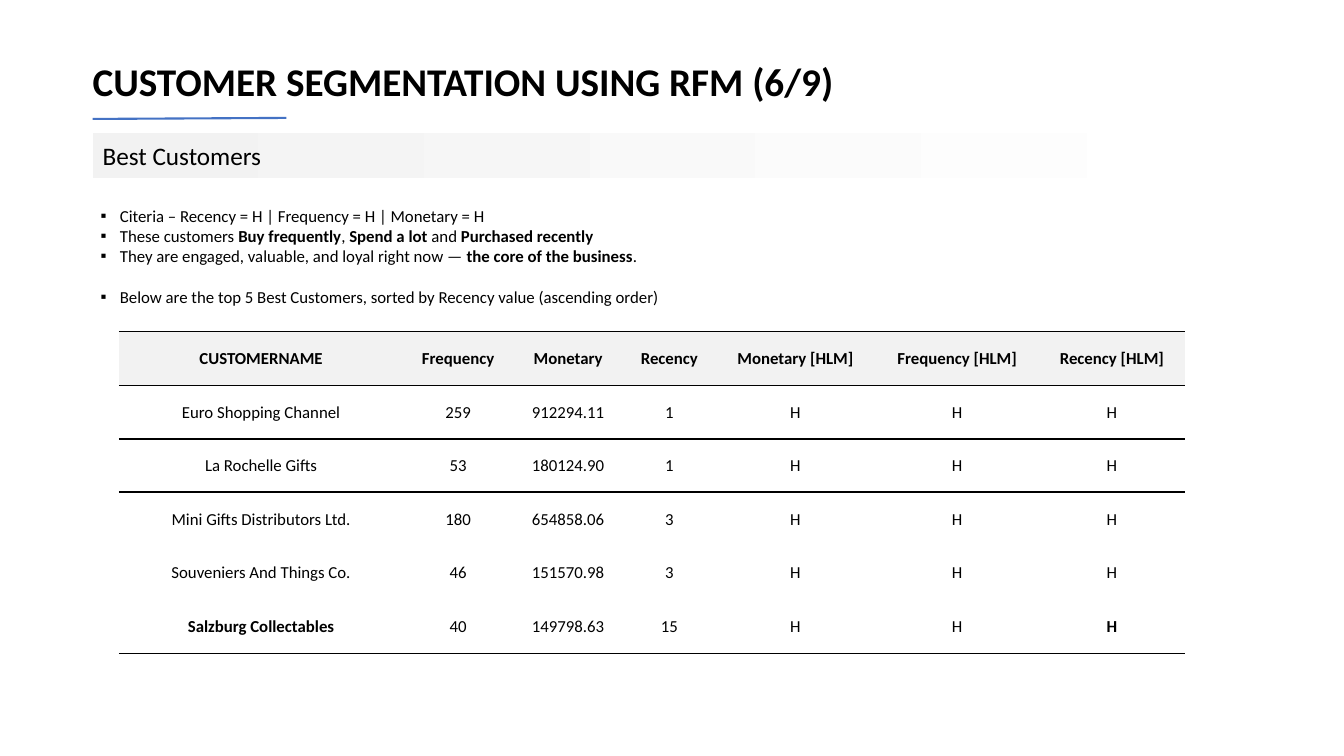
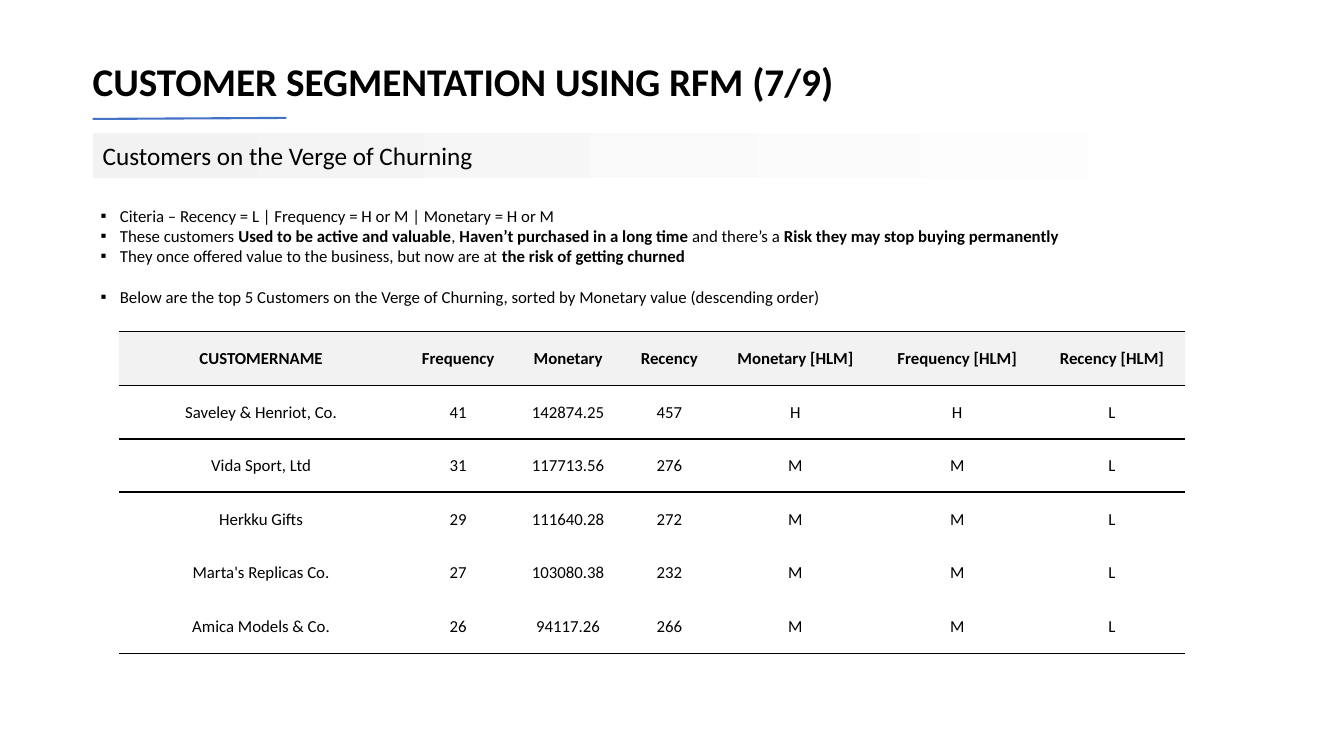
from lxml import etree
from pptx import Presentation
from pptx.dml.color import RGBColor
from pptx.enum.shapes import MSO_CONNECTOR, MSO_SHAPE
from pptx.enum.text import MSO_ANCHOR, PP_ALIGN
from pptx.oxml import parse_xml
from pptx.oxml.ns import nsdecls, qn
from pptx.util import Inches, Pt

STRAIGHT = MSO_CONNECTOR.STRAIGHT
RECTANGLE = MSO_SHAPE.RECTANGLE
MIDDLE = MSO_ANCHOR.MIDDLE
LEFT, CENTER = PP_ALIGN.LEFT, PP_ALIGN.CENTER

FONT = "Calibri"
COLORS = {"text": "000000", "white": "FFFFFF", "band": "F2F2F2", "accent": "4472C4"}
NO_GRID_STYLE = "{2D5ABB26-0587-4C30-8999-92F81FD0307C}"

TITLE_BOX = (0.82, 0.51, 11.5, 0.65)
BAND_BOX = (0.92, 1.32, 11.5, 0.45)
BULLETS_BOX = (0.9, 1.79, 11.05, 1.5)
TABLE_BOX = (1.18, 3.29, 10.57, 3.19)
COLUMN_WIDTHS = (2.82, 1.09, 1.09, 0.92, 1.58, 1.63, 1.44)
HEADERS = ("CUSTOMERNAME", "Frequency", "Monetary", "Recency",
           "Monetary [HLM]", "Frequency [HLM]", "Recency [HLM]")

SEGMENTS = [
    {
        "title": "CUSTOMER SEGMENTATION USING RFM (6/9)",
        "heading": "Best Customers",
        "bullets": [
            "Citeria – Recency = H | Frequency = H | Monetary = H",
            "These customers **Buy frequently**, **Spend a lot **and **Purchased recently**",
            "They are engaged, valuable, and loyal right now — **the core of the business**.",
            "Below are the top 5 Best Customers, sorted by Recency value (ascending order)",
        ],
        "rows": [
            ("Euro Shopping Channel", "259", "912294.11", "1", "H", "H", "H"),
            ("La Rochelle Gifts", "53", "180124.90", "1", "H", "H", "H"),
            ("Mini Gifts Distributors Ltd.", "180", "654858.06", "3", "H", "H", "H"),
            ("Souveniers And Things Co.", "46", "151570.98", "3", "H", "H", "H"),
            ("**Salzburg Collectables**", "40", "149798.63", "15", "H", "H", "**H**"),
        ],
    },
    {
        "title": "CUSTOMER SEGMENTATION USING RFM (7/9)",
        "heading": "Customers on the Verge of Churning",
        "bullets": [
            "Citeria – Recency = L | Frequency = H or M | Monetary = H or M",
            "These customers **Used to be active and valuable**, **Haven’t purchased in a "
            "long time **and there’s a **Risk they may stop buying permanently**",
            "They once offered value to the business, but now are at "
            "**the risk of getting churned**",
            "Below are the top 5 Customers on the Verge of Churning, "
            "sorted by Monetary value (descending order)",
        ],
        "rows": [
            ("Saveley & Henriot, Co.", "41", "142874.25", "457", "H", "H", "L"),
            ("Vida Sport, Ltd", "31", "117713.56", "276", "M", "M", "L"),
            ("Herkku Gifts", "29", "111640.28", "272", "M", "M", "L"),
            ("Marta's Replicas Co.", "27", "103080.38", "232", "M", "M", "L"),
            ("Amica Models & Co.", "26", "94117.26", "266", "M", "M", "L"),
        ],
    },
]


def color(name):
    return RGBColor.from_string(COLORS[name])


def inches(box):
    return [Inches(length) for length in box]


def write(paragraph, text, size, bold=False, align=LEFT):
    """Fill a paragraph; parts between ** marks are bold."""
    paragraph.alignment = align
    font = paragraph.font
    font.name, font.size, font.bold = FONT, Pt(size), bold
    font.color.rgb = color("text")
    for index, part in enumerate(text.split("**")):
        if part:
            run = paragraph.add_run()
            run.text = part
            if index % 2:
                run.font.bold = True


def add_text_box(slide, box):
    frame = slide.shapes.add_textbox(*inches(box)).text_frame
    frame.word_wrap = True
    frame.vertical_anchor = MIDDLE
    return frame


def add_title(slide, box, text):
    paragraph = add_text_box(slide, box).paragraphs[0]
    paragraph.line_spacing = 0.9
    write(paragraph, text, 28, bold=True)

    left, top, _, height = box
    start, underline = left + 0.1, top + height + 0.02
    line = slide.shapes.add_connector(
        STRAIGHT, *inches((start, underline, start + 1.92, underline - 0.01)))
    line.line.color.rgb = color("accent")
    line.line.width = Pt(1.5)
    etree.SubElement(line._element.spPr, qn("a:effectLst"))


def add_heading_band(slide, box, text):
    band = slide.shapes.add_shape(RECTANGLE, *inches(box))
    band.shadow.inherit = False
    band.line.fill.background()
    band.fill.gradient()
    band.fill.gradient_angle = 180
    for stop, position, name in zip(band.fill.gradient_stops, (0, 1), ("white", "band")):
        stop.position = position
        stop.color.rgb = color(name)
    band.text_frame.vertical_anchor = MIDDLE
    write(band.text_frame.paragraphs[0], text, 18)


def add_bullets(slide, box, bullets):
    """List the bullets, with a one-line gap before the last."""
    frame = add_text_box(slide, box)
    for index, text in enumerate(bullets):
        paragraph = frame.add_paragraph() if index else frame.paragraphs[0]
        properties = paragraph._p.get_or_add_pPr()
        properties.set("marL", str(Inches(0.19)))
        properties.set("indent", str(-Inches(0.19)))
        etree.SubElement(properties, qn("a:buFont"), typeface="Arial")
        etree.SubElement(properties, qn("a:buChar"), char="▪")
        if index == len(bullets) - 1:
            paragraph.space_before = Pt(14.65)
        write(paragraph, text, 12)


def set_border(cell, side, width):
    border = parse_xml(
        f'<a:{side} {nsdecls("a")} w="{Pt(width)}"><a:solidFill>'
        f'<a:srgbClr val="{COLORS["text"]}"/></a:solidFill></a:{side}>')
    cell._tc.get_or_add_tcPr().insert(0, border)


def add_customer_table(slide, box, rows):
    lines = [HEADERS, *rows]
    table = slide.shapes.add_table(len(lines), len(HEADERS), *inches(box)).table
    table.first_row = table.horz_banding = False
    table._tbl.tblPr.find(qn("a:tableStyleId")).text = NO_GRID_STYLE
    for column, width in zip(table.columns, COLUMN_WIDTHS):
        column.width = Inches(width)

    bottom_borders = {0: 1, 1: 1.5, len(rows): 1}
    for row, values in enumerate(lines):
        is_header = row == 0
        for column, text in enumerate(values):
            cell = table.cell(row, column)
            cell.vertical_anchor = MIDDLE
            cell.margin_left = cell.margin_right = cell.margin_top = Inches(0.01)
            cell.margin_bottom = 0
            cell.fill.solid()
            cell.fill.fore_color.rgb = color("band" if is_header else "white")
            write(cell.text_frame.paragraphs[0], text, 12, is_header, CENTER)
            if row in bottom_borders:
                set_border(cell, "lnB", bottom_borders[row])
            if row - 1 in bottom_borders:
                set_border(cell, "lnT", bottom_borders[row - 1])
            elif is_header:
                set_border(cell, "lnT", 1)


def add_segment_slide(presentation, segment):
    slide = presentation.slides.add_slide(presentation.slide_layouts[6])
    add_title(slide, TITLE_BOX, segment["title"])
    add_heading_band(slide, BAND_BOX, segment["heading"])
    add_bullets(slide, BULLETS_BOX, segment["bullets"])
    add_customer_table(slide, TABLE_BOX, segment["rows"])


def main():
    presentation = Presentation()
    presentation.slide_width, presentation.slide_height = Inches(13.33), Inches(7.5)
    for segment in SEGMENTS:
        add_segment_slide(presentation, segment)
    presentation.save("out.pptx")


if __name__ == "__main__":
    main()
